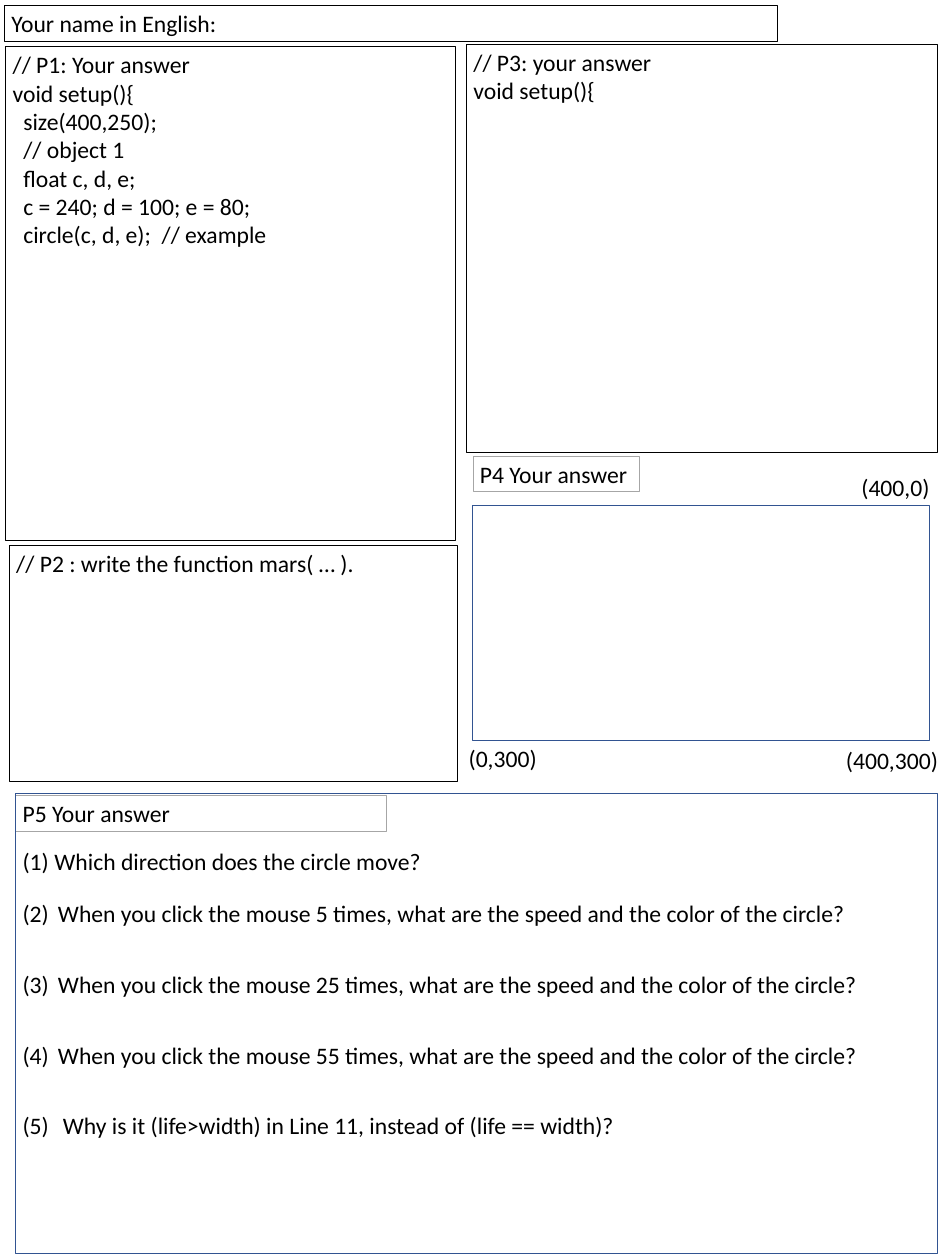
from dataclasses import dataclass

from lxml.etree import SubElement
from pptx import Presentation
from pptx.dml.color import RGBColor
from pptx.enum.shapes import MSO_SHAPE as Preset
from pptx.enum.text import MSO_ANCHOR as Anchor, MSO_AUTO_SIZE as AutoSize, PP_ALIGN as Align
from pptx.oxml.ns import qn
from pptx.util import Inches, Pt

SLIDE_WIDTH, SLIDE_HEIGHT = Inches(13.33), Inches(17.78)
COLUMN, ROW = SLIDE_WIDTH / 100, SLIDE_HEIGHT / 100
LABEL_ROWS = 2.81


@dataclass(frozen=True)
class Theme:
    """Colours and type of the answer sheet."""
    font: str = "Calibri"
    size: int = 24
    ink: str = "000000"
    paper: str = "FFFFFF"
    blue: str = "325491"
    grey: str = "A6A6A6"


@dataclass(frozen=True)
class Box:
    """An area counted in columns and rows of a 100 by 100 grid."""
    left: float
    top: float
    width: float
    height: float

    @property
    def right(self):
        """Return the column of the right edge."""
        return self.left + self.width

    @property
    def bottom(self):
        """Return the row of the bottom edge."""
        return self.top + self.height

    def lengths(self):
        """Return left, top, width and height as slide lengths."""
        return (round(self.left * COLUMN), round(self.top * ROW),
                round(self.width * COLUMN), round(self.height * ROW))


THEME = Theme()


def write(shape, text, align=Align.LEFT, anchor=Anchor.TOP):
    """Put text in a shape in the type of the sheet."""
    frame = shape.text_frame
    frame.text = text
    frame.word_wrap = True
    frame.auto_size = AutoSize.NONE
    frame.vertical_anchor = anchor
    for paragraph in frame.paragraphs:
        paragraph.alignment = align
        for run in paragraph.runs:
            run.font.name = THEME.font
            run.font.size = Pt(THEME.size)
            run.font.color.rgb = RGBColor.from_string(THEME.ink)


def outline(shape, color, width=0.75):
    """Draw the border of a shape."""
    shape.line.color.rgb = RGBColor.from_string(color)
    shape.line.width = Pt(width)


def add_frame(slide, box, color, width=0.75, text="", filled=True):
    """Add a bordered rectangle with text at its top left."""
    shape = slide.shapes.add_shape(Preset.RECTANGLE, *box.lengths())
    shape.shadow.inherit = False
    if filled:
        shape.fill.solid()
        shape.fill.fore_color.rgb = RGBColor.from_string(THEME.paper)
    else:
        shape.fill.background()
    outline(shape, color, width)
    if text:
        write(shape, text)
    return shape


def add_name_field(slide, box):
    """Turn the title into the field for the name."""
    title = slide.shapes.title
    title.left, title.top, title.width, title.height = box.lengths()
    write(title, "Your name in English:")
    outline(title, THEME.ink)


def add_drawing_area(slide, box):
    """Add the P4 canvas with its label and corner coordinates."""
    add_frame(slide, box, THEME.blue, 1)
    add_frame(slide, Box(box.left, box.top - 3.88, 17.63, LABEL_ROWS), THEME.grey,
              text="P4 Your answer")
    corners = (
        ("(400,0)", box.right + 0.75, box.top - LABEL_ROWS),
        ("(0,300)", box.left + 7.5, box.bottom),
        ("(400,300)", box.right + 1.65, box.bottom + 0.11),
    )
    width = 12.45
    for text, right, top in corners:
        label = slide.shapes.add_textbox(*Box(right - width, top, width, LABEL_ROWS).lengths())
        write(label, text, Align.RIGHT)


def number(paragraph, start, indent):
    """Give a paragraph a bracketed number and a hanging indent."""
    properties = paragraph._p.get_or_add_pPr()
    properties.set("marL", str(Inches(indent)))
    properties.set("indent", str(-Inches(indent)))
    bullet = SubElement(properties, qn("a:buAutoNum"), type="arabicParenBoth")
    bullet.set("startAt", str(start))


def add_questions(slide, box):
    """Add the P5 label and its numbered questions."""
    add_frame(slide, Box(box.left, box.top + 0.17, 39.23, LABEL_ROWS), THEME.grey,
              text="P5 Your answer")
    clicks = "When you click the mouse {} times, what are the speed and the color of the circle?"
    questions = (
        ("Which direction does the circle move?", 0.45, 0),
        (clicks.format(5), 0.5, 24),
        (clicks.format(25), 0.5, 43),
        (clicks.format(55), 0.5, 43),
        ("Why is it (life>width) in Line 11, instead of (life == width)?", 0.57, 43),
    )
    shape = add_frame(slide, box, THEME.blue, 1, "\n".join(text for text, _, _ in questions),
                      filled=False)
    shape.text_frame.margin_top = round(4.25 * ROW)
    for start, (paragraph, question) in enumerate(zip(shape.text_frame.paragraphs, questions), 1):
        _, indent, gap = question
        if gap:
            paragraph.space_before = Pt(gap)
        number(paragraph, start, indent)


def add_answer_sheet(presentation):
    """Add the slide with one region per problem."""
    slide = presentation.slides.add_slide(presentation.slide_layouts[5])
    add_name_field(slide, Box(0.45, 0.45, 81.77, LABEL_ROWS))
    setup = """// P1: Your answer
void setup(){
  size(400,250);
  // object 1
  float c, d, e;
  c = 240; d = 100; e = 80;
  circle(c, d, e);  // example"""
    answers = (
        (Box(0.6, 3.71, 47.56, 39.2), setup),
        (Box(0.98, 43.25, 47.41, 18.73), "// P2 : write the function mars( … )."),
        (Box(49.36, 3.49, 49.89, 32.4), "// P3: your answer\nvoid setup(){"),
    )
    for box, text in answers:
        add_frame(slide, box, THEME.ink, text=text)
    add_drawing_area(slide, Box(50.04, 40.1, 48.31, 18.67))
    add_questions(slide, Box(1.65, 62.99, 97.6, 36.5))


def main():
    """Build and save the presentation."""
    presentation = Presentation()
    presentation.slide_width, presentation.slide_height = SLIDE_WIDTH, SLIDE_HEIGHT
    add_answer_sheet(presentation)
    presentation.save("out.pptx")


if __name__ == "__main__":
    main()
